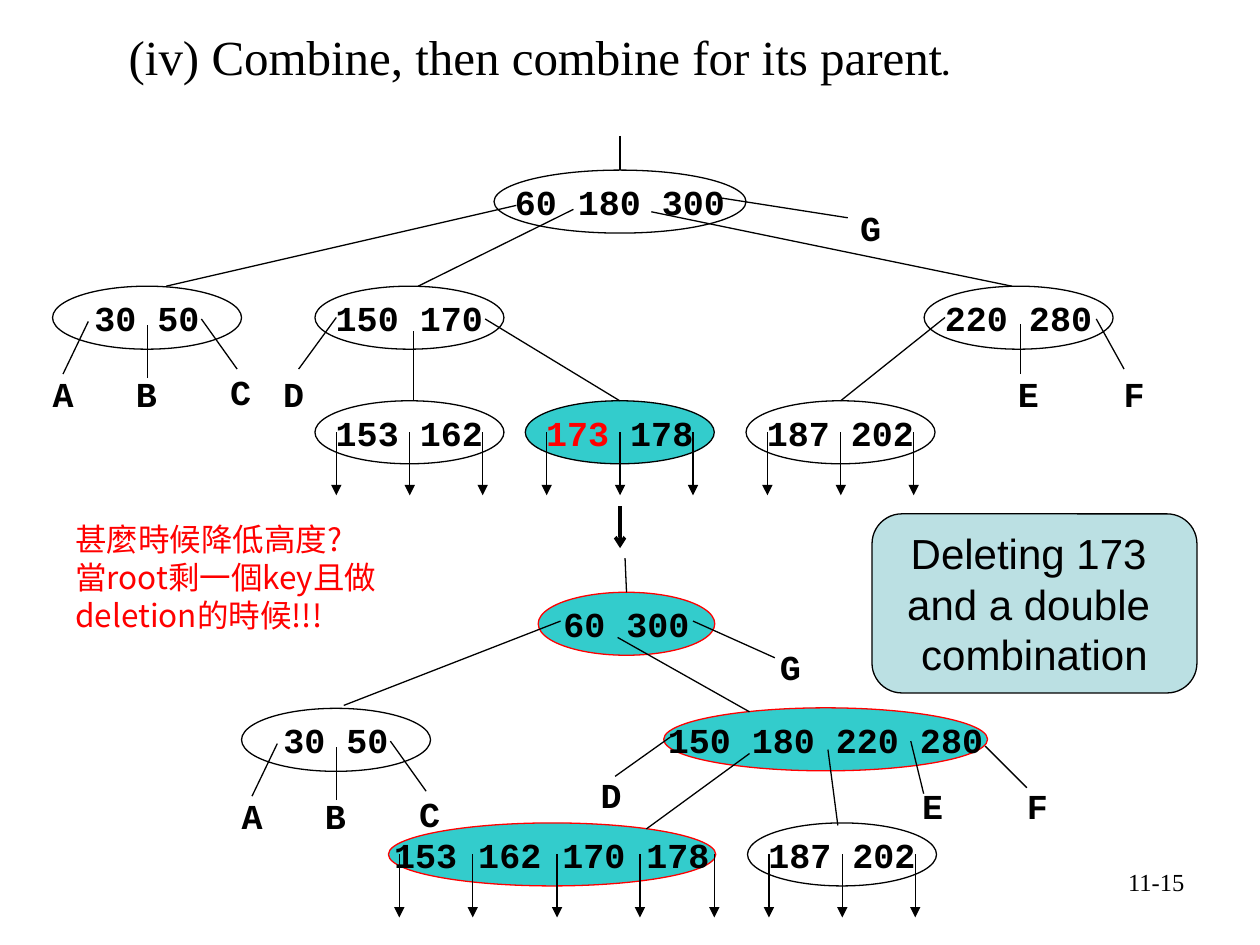
"""Build the slide on deleting a key from a B-tree with a double combination."""
from lxml.etree import SubElement
from pptx import Presentation
from pptx.dml.color import RGBColor
from pptx.enum.shapes import MSO_CONNECTOR as Link, MSO_SHAPE as Shape
from pptx.enum.text import MSO_ANCHOR as Anchor, MSO_AUTO_SIZE as Fit, PP_ALIGN as Align
from pptx.oxml.ns import qn
from pptx.util import Cm, Pt

BLACK, RED, TEAL, PALE = "000000", "FF0000", "33CCCC", "BBE0E3"
NODE_HEIGHT = 1.27
KEY = {"name": "Courier New", "size": Pt(20), "bold": True}
TITLE = {"name": "Times New Roman", "size": Pt(28), "bold": False}
PERIOD = {"name": "Karla", "size": Pt(24), "bold": False}
PAGE = {"name": "Times New Roman", "size": Pt(14)}
CALLOUT = {"name": "Arial", "size": Pt(24)}
NOTE = {"name": "Noto Sans CJK SC", "size": Pt(18)}
NARROW_LEAF = (0.43, 1.91, 3.38)
WIDE_LEAF = (0.22, 1.7, 3.4, 5.07, 6.57)


def color(code):
    return RGBColor.from_string(code)


class TreeSlide:
    def __init__(self, deck):
        self.slide = deck.slides.add_slide(deck.slide_layouts[5])
        self.shapes = self.slide.shapes

    def fill_text(self, frame, pieces, align=Align.LEFT, anchor=Anchor.TOP, wrap=False):
        layout = {"word_wrap": wrap, "auto_size": Fit.NONE, "vertical_anchor": anchor}
        for name, value in layout.items():
            setattr(frame, name, value)
        paragraph = frame.paragraphs[0]
        paragraph.alignment = align
        for text, style, ink in pieces:
            for index, line in enumerate(text.split("\n")):
                if index:
                    paragraph = frame.add_paragraph()
                    paragraph.alignment = align
                for part, words in enumerate(line.split("\v")):
                    if part:
                        paragraph.add_line_break()
                    run = paragraph.add_run()
                    run.text = words
                    run.font.color.rgb = color(ink)
                    for name, value in style.items():
                        setattr(run.font, name, value)
                    east_asian = SubElement(run._r.get_or_add_rPr(), qn("a:ea"))
                    east_asian.set("typeface", style["name"])

    def title(self, box, pieces):
        heading = self.shapes.title
        for name, value in zip(("left", "top", "width", "height"), box):
            setattr(heading, name, Cm(value))
        self.fill_text(heading.text_frame, pieces, anchor=Anchor.MIDDLE)

    def text(self, box, pieces, **layout):
        self.fill_text(self.shapes.add_textbox(*map(Cm, box)).text_frame, pieces, **layout)

    def label(self, letter, left, top):
        self.text((left, top, 0.91, 1.12), [(letter, KEY, BLACK)])

    def panel(self, kind, box, pieces, fill=None, outline=BLACK):
        panel = self.shapes.add_shape(kind, *map(Cm, box))
        panel.shadow.inherit = False
        if fill:
            panel.fill.solid()
            panel.fill.fore_color.rgb = color(fill)
        else:
            panel.fill.background()
        panel.line.color.rgb = color(outline)
        panel.line.width = Pt(0.75)
        self.fill_text(panel.text_frame, pieces, Align.CENTER, Anchor.MIDDLE)
        return panel

    def node(self, keys, left, top, width=3.81, fill=None, outline=BLACK):
        pieces = [(keys, KEY, BLACK)] if isinstance(keys, str) else keys
        return self.panel(Shape.OVAL, (left, top, width, NODE_HEIGHT), pieces, fill, outline)

    def line(self, x1, y1, x2, y2, head=None, width=0.75):
        line = self.shapes.add_connector(Link.STRAIGHT, *map(Cm, (x1, y1, x2, y2)))
        line.line.color.rgb = color(BLACK)
        line.line.width = Pt(width)
        if head:
            outline = line._element.spPr.find(qn("a:ln"))
            SubElement(outline, qn("a:tailEnd")).set("type", head)
        SubElement(line._element.spPr, qn("a:effectLst"))
        return line

    def line_to_top(self, x, y, node):
        self.line(x, y, x, y).end_connect(node, 0)

    def leaf_pointers(self, left, top, offsets):
        middle = top + NODE_HEIGHT / 2
        for offset in offsets:
            self.line(left + offset, middle, left + offset, middle + 1.27, "triangle")

    def left_subtree(self, dx, dy):
        self.node("30 50", 1.06 + dx, 5.77 + dy)
        for x1, y1, x2, y2 in ((1.27, 7.54, 1.78, 6.48), (2.97, 7.62, 2.97, 6.55),
                               (4.78, 7.44, 4.06, 6.43)):
            self.line(x1 + dx, y1 + dy, x2 + dx, y2 + dy)
        for letter, left, top in (("A", 0.81, 7.39), ("B", 2.49, 7.39), ("C", 4.39, 7.34)):
            self.label(letter, left + dx, top + dy)


def tree_before(page):
    root = page.node("60 180 300", 9.96, 3.43, 5.08)
    page.left_subtree(0, 0)
    page.node("150 170", 6.35, 5.77)
    page.node("220 280", 18.63, 5.77)
    page.node("153 162", 6.35, 8.08)
    deleted = page.node([("173", KEY, RED), (" 178", KEY, BLACK)], 10.59, 8.08, fill=TEAL)
    right_leaf = page.node("187 202", 15.04, 8.08)
    page.line_to_top(12.5, 2.74, root)
    page.line_to_top(9.78, 6.43, deleted)
    page.line_to_top(19.05, 6.4, right_leaf)
    for ends in ((8.33, 6.68, 8.33, 8.08), (3.35, 5.77, 10.41, 4.14),
                 (8.43, 5.77, 11.56, 4.22), (13.13, 4.27, 20.4, 5.77),
                 (17.09, 4.39, 14.53, 3.99), (6.02, 7.44, 6.78, 6.4),
                 (20.57, 7.54, 20.57, 6.53), (22.66, 7.44, 22.1, 6.43)):
        page.line(*ends)
    for left in (6.35, 10.59, 15.04):
        page.leaf_pointers(left, 8.08, NARROW_LEAF)
    for label in (("D", 5.46, 7.39), ("E", 20.27, 7.39), ("F", 22.4, 7.39), ("G", 17.09, 4.04)):
        page.label(*label)


def tree_after(page):
    combined = {"fill": TEAL, "outline": RED}
    root = page.node("60 300", 10.85, 11.94, 3.56, **combined)
    page.left_subtree(3.81, 8.51)
    page.node("150 180 220 280", 13.38, 14.27, 6.53, **combined)
    page.node("153 162 170 178", 7.83, 16.59, 6.6, **combined)
    page.node("187 202", 15.07, 16.59)
    page.line_to_top(12.6, 11.25, root)
    for ends in ((6.93, 14.22, 11.3, 12.52), (15.11, 14.35, 12.45, 12.85),
                 (15.62, 13.26, 13.97, 12.52), (12.4, 15.65, 13.51, 14.86),
                 (15.11, 15.19, 13.03, 16.71), (16.69, 15.11, 16.89, 16.64),
                 (18.62, 16, 18.36, 14.94), (20.7, 15.88, 19.86, 15.04)):
        page.line(*ends)
    page.leaf_pointers(7.83, 16.59, WIDE_LEAF)
    page.leaf_pointers(15.07, 16.59, NARROW_LEAF)
    for label in (("D", 11.86, 15.47), ("E", 18.34, 15.7), ("F", 20.45, 15.7),
                  ("G", 15.47, 12.88)):
        page.label(*label)


def main():
    deck = Presentation()
    deck.slide_width, deck.slide_height = Cm(25.4), Cm(19.05)
    page = TreeSlide(deck)
    page.title((2.34, 0.41, 17.15, 1.45),
               [("(iv) Combine, then combine for its parent", TITLE, BLACK), (".", PERIOD, BLACK)])
    tree_before(page)
    page.line(12.5, 10.21, 12.5, 11.05, "arrow", 2)
    tree_after(page)
    page.panel(Shape.FLOWCHART_ALTERNATE_PROCESS, (17.58, 10.36, 6.55, 3.61),
               [("Deleting 173 \nand a double \ncombination", CALLOUT, BLACK)], PALE)
    page.text((18.21, 17.35, 5.92, 1.32), [("11-15", PAGE, BLACK)], align=Align.RIGHT, wrap=True)
    page.text((1.27, 10.36, 8.84, 2.54),
              [("甚麼時候降低高度?\v當root剩一個key且做deletion的時候!!!", NOTE, RED)], wrap=True)
    deck.save("out.pptx")


if __name__ == "__main__":
    main()
